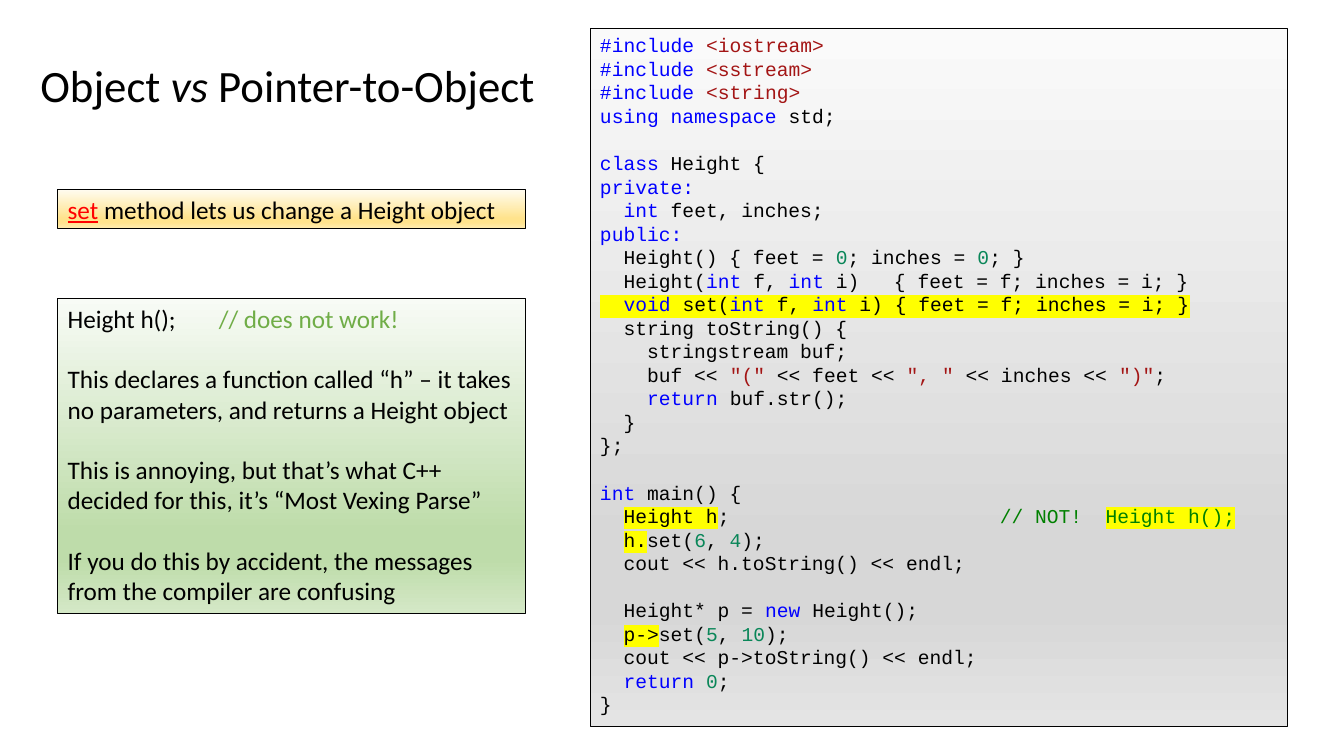
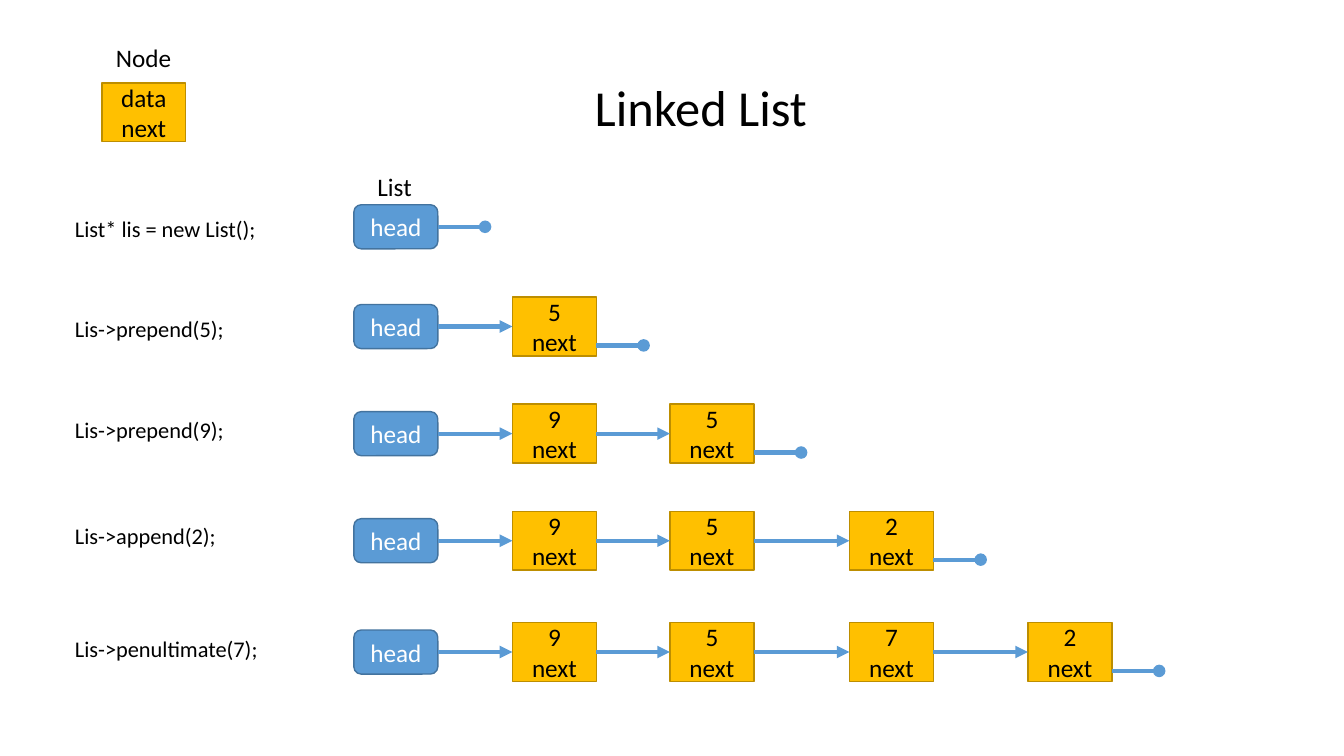
from dataclasses import dataclass

from lxml import etree
from pptx import Presentation
from pptx.dml.color import RGBColor
from pptx.enum.shapes import MSO_CONNECTOR, MSO_SHAPE
from pptx.enum.text import MSO_ANCHOR, PP_ALIGN
from pptx.oxml.ns import qn
from pptx.util import Emu, Pt

RECT, ROUNDED = MSO_SHAPE.RECTANGLE, MSO_SHAPE.ROUNDED_RECTANGLE
STRAIGHT = MSO_CONNECTOR.STRAIGHT
TOP, MIDDLE = MSO_ANCHOR.TOP, MSO_ANCHOR.MIDDLE
LEFT, CENTER = PP_ALIGN.LEFT, PP_ALIGN.CENTER
LEFT_SIDE, RIGHT_SIDE = 1, 3

EMU_PER_PX = 9525
SANS, MONO = "Calibri", "Courier New"
LINE_HEIGHT = 1.2
MONO_ADVANCE = 0.6  # character width relative to font size
CODE_SIZE = 14

BLACK = RGBColor(0x00, 0x00, 0x00)
WHITE = RGBColor(0xFF, 0xFF, 0xFF)
RED = RGBColor(0xFF, 0x00, 0x00)
GREEN = RGBColor(0x70, 0xAD, 0x47)
KEYWORD = RGBColor(0x00, 0x00, 0xFF)
STRING = RGBColor(0xA3, 0x15, 0x15)
NUMBER = RGBColor(0x09, 0x86, 0x58)
COMMENT = RGBColor(0x00, 0x80, 0x00)
HIGHLIGHT = RGBColor(0xFF, 0xFF, 0x00)
BLUE = RGBColor(0x5B, 0x9B, 0xD5)
BLUE_EDGE = RGBColor(0x43, 0x73, 0x9E)
GOLD = RGBColor(0xFF, 0xC0, 0x00)
GOLD_EDGE = RGBColor(0xBD, 0x8E, 0x00)

# Panel gradients: colours at 0, 74, 83 and 100 percent
GRADIENT_STOPS = (0, 74, 83, 100)
GRAY_PANEL = tuple(map(RGBColor.from_string, ("FAFAFA", "D7D7D7", "D7D7D7", "E4E4E4")))
GOLD_PANEL = tuple(map(RGBColor.from_string, ("FFFCF2", "FFE38C", "FFE38C", "FFECB2")))
GREEN_PANEL = tuple(map(RGBColor.from_string, ("F8FBF6", "BEDCAA", "BEDCAA", "D4E8C6")))


@dataclass(frozen=True)
class Box:
    x: int
    y: int
    w: int
    h: int

    def emu(self) -> tuple:
        return tuple(px(v) for v in (self.x, self.y, self.w, self.h))


@dataclass(frozen=True)
class Style:
    color: RGBColor | None = None
    italic: bool = False
    underline: bool = False


@dataclass(frozen=True)
class Line:
    """A paragraph; ~kword~ gives word style k, a capital letter highlights it."""
    text: str
    gap: bool = False  # one line of space above
    tab_columns: tuple = ()


@dataclass(frozen=True)
class ListStep:
    call: str
    label_y: int
    center_y: int
    values: tuple


STYLES = {
    "p": Style(),
    "k": Style(KEYWORD),
    "s": Style(STRING),
    "n": Style(NUMBER),
    "c": Style(COMMENT),
    "g": Style(GREEN),
    "i": Style(italic=True),
    "r": Style(RED, underline=True),
}

CODE = (
    Line("~k#include ~~s<iostream>~"),
    Line("~k#include ~~s<sstream>~"),
    Line("~k#include ~~s<string>~"),
    Line("~kusing namespace~ std;"),
    Line("~kclass~ Height {", gap=True),
    Line("~kprivate:~"),
    Line("  ~kint~ feet, inches;"),
    Line("~kpublic:~"),
    Line("  Height() { feet = ~n0~; inches = ~n0~; }"),
    Line("  Height(~kint~ f, ~kint~ i)\t{ feet = f; inches = i; }", tab_columns=(25,)),
    Line("~P  ~~Kvoid~~P set(~~Kint~~P f, ~~Kint~~P i) { feet = f; inches = i; }~"),
    Line("  string toString() {"),
    Line("    stringstream buf;"),
    Line('    buf << ~s"("~ << feet << ~s", "~ << inches << ~s")"~;'),
    Line("    ~kreturn ~buf.str();"),
    Line("  }"),
    Line("};"),
    Line("~kint~ main() {", gap=True),
    Line("  ~PHeight h~;\t~c// NOT!~\t~CHeight h();~", tab_columns=(34, 43)),
    Line("  ~Ph.~set(~n6~, ~n4~);"),
    Line("  cout << h.toString() << endl;"),
    Line("  Height* p = ~knew~ Height();", gap=True),
    Line("  ~Pp->~set(~n5~, ~n10~);"),
    Line("  cout << p->toString() << endl;"),
    Line("  ~kreturn ~~n0~;"),
    Line("}"),
)

VEXING_PARSE = (
    Line("Height h();\t~g// does not work!~"),
    Line("This declares a function called “h” – it takes no parameters, "
         "and returns a Height object", gap=True),
    Line("This is annoying, but that’s what C++ decided for this, "
         "it’s “Most Vexing Parse”", gap=True),
    Line("If you do this by accident, the messages from the compiler are confusing",
         gap=True),
)

STEPS = (
    ListStep("List* lis = new List();", 200, 216, ()),
    ListStep("Lis->prepend(5);", 295, 311, ("5",)),
    ListStep("Lis->prepend(9);", 392, 413, ("9", "5")),
    ListStep("Lis->append(2);", 493, 515, ("9", "5", "2")),
    ListStep("Lis->penultimate(7);", 600, 621, ("9", "5", "7", "2")),
)
HEAD_X, NODE_XS = 337, (488, 638, 809, 979)
CELL_W, HEAD_H, NODE_H = 80, 42, 56
NULL_LENGTH, NEXT_FIELD_DROP = 45, 18


def px(value: int) -> Emu:
    return Emu(value * EMU_PER_PX)


# Text

def highlight(run) -> None:
    mark = etree.Element(qn("a:highlight"))
    etree.SubElement(mark, qn("a:srgbClr"), val=str(HIGHLIGHT))
    run.font.fill  # the highlight follows the text fill
    run.font._element.find(qn("a:solidFill")).addnext(mark)


def add_tabs(paragraph, columns: tuple, size: int) -> None:
    tabs = etree.SubElement(paragraph._p.get_or_add_pPr(), qn("a:tabLst"))
    for column in columns:
        position = Pt(column * size * MONO_ADVANCE)
        etree.SubElement(tabs, qn("a:tab"), pos=str(position), algn="l")


def write(shape, *lines: Line, size: int = 18, font: str = SANS, color: RGBColor = BLACK,
          align=LEFT, anchor=TOP) -> None:
    frame = shape.text_frame
    frame.word_wrap = True
    frame.vertical_anchor = anchor
    for index, line in enumerate(lines):
        paragraph = frame.add_paragraph() if index else frame.paragraphs[0]
        paragraph.alignment = align
        paragraph.line_spacing = Pt(size * LINE_HEIGHT)
        if line.gap:
            paragraph.space_before = Pt(size * LINE_HEIGHT)
        if line.tab_columns:
            add_tabs(paragraph, line.tab_columns, size)
        for part, piece in enumerate(line.text.split("~")):
            if not piece:
                continue
            key, text = (piece[0], piece[1:]) if part % 2 else ("p", piece)
            style = STYLES[key.lower()]
            run = paragraph.add_run()
            run.text = text
            run.font.size, run.font.name = Pt(size), font
            run.font.color.rgb = style.color or color
            if style.italic:
                run.font.italic = True
            if style.underline:
                run.font.underline = True
            if key.isupper():
                highlight(run)


def add_label(slide, box: Box, text: str, size: int = 18) -> None:
    write(slide.shapes.add_textbox(*box.emu()), Line(text), size=size)


# Shapes

def add_block(slide, box: Box, kind, edge: RGBColor, edge_width: float):
    block = slide.shapes.add_shape(kind, *box.emu())
    block.shadow.inherit = False
    block.line.color.rgb = edge
    block.line.width = Pt(edge_width)
    return block


def add_panel(slide, box: Box, colors: tuple, *lines: Line, **text_format) -> None:
    panel = add_block(slide, box, RECT, BLACK, 0.75)
    panel.fill.gradient()
    panel.fill.gradient_angle = 270
    stops = panel.element.spPr.find(qn("a:gradFill")).find(qn("a:gsLst"))
    for stop in list(stops):
        stops.remove(stop)
    for percent, color in zip(GRADIENT_STOPS, colors):
        stop = etree.SubElement(stops, qn("a:gs"), pos=str(percent * 1000))
        etree.SubElement(stop, qn("a:srgbClr"), val=str(color))
    write(panel, *lines, **text_format)


def add_node(slide, x: int, y: int, value: str):
    node = add_block(slide, Box(x, y, CELL_W, NODE_H), RECT, GOLD_EDGE, 1)
    node.fill.solid()
    node.fill.fore_color.rgb = GOLD
    write(node, Line(value), Line("next"), align=CENTER, anchor=MIDDLE)
    return node


def add_head(slide, center_y: int):
    box = Box(HEAD_X, center_y - HEAD_H // 2, CELL_W, HEAD_H)
    head = add_block(slide, box, ROUNDED, BLUE_EDGE, 1)
    head.fill.solid()
    head.fill.fore_color.rgb = BLUE
    write(head, Line("head"), color=WHITE, align=CENTER, anchor=MIDDLE)
    return head


def add_pointer(slide, x1: int, x2: int, y: int, ending: str):
    pointer = slide.shapes.add_connector(STRAIGHT, px(x1), px(y), px(x2), px(y))
    pointer.line.color.rgb = BLUE
    pointer.line.width = Pt(3)
    properties = pointer.element.spPr
    etree.SubElement(properties.find(qn("a:ln")), qn("a:tailEnd"), type=ending)
    etree.SubElement(properties, qn("a:effectLst"))
    return pointer


# Slides

def add_step(slide, step: ListStep) -> None:
    add_label(slide, Box(62, step.label_y, 223, 35), step.call, size=16)
    cell, right = add_head(slide, step.center_y), HEAD_X + CELL_W
    for x, value in zip(NODE_XS, step.values):
        node = add_node(slide, x, step.center_y - NODE_H // 2, value)
        pointer = add_pointer(slide, right, x, step.center_y, "triangle")
        pointer.begin_connect(cell, RIGHT_SIDE)
        pointer.end_connect(node, LEFT_SIDE)
        cell, right = node, x + CELL_W
    drop = NEXT_FIELD_DROP if step.values else 0
    null = add_pointer(slide, right, right + NULL_LENGTH, step.center_y + drop, "oval")
    if not step.values:
        null.begin_connect(cell, RIGHT_SIDE)


def build_pointer_slide(slide) -> None:
    add_panel(slide, Box(562, 27, 664, 665), GRAY_PANEL, *CODE, size=CODE_SIZE, font=MONO)
    add_label(slide, Box(29, 50, 533, 61), "Object ~ivs~ Pointer-to-Object", size=32)
    add_panel(slide, Box(55, 180, 446, 38), GOLD_PANEL,
              Line("~rset~ method lets us change a Height object"))
    add_panel(slide, Box(55, 284, 446, 300), GREEN_PANEL, *VEXING_PARSE)


def build_list_slide(slide) -> None:
    add_label(slide, Box(557, 68, 414, 68), "Linked List", size=36)
    add_label(slide, Box(101, 36, 76, 38), "Node")
    add_node(slide, 97, 79, "data")
    add_label(slide, Box(350, 158, 61, 38), "List")
    for step in STEPS:
        add_step(slide, step)


def main() -> None:
    deck = Presentation()
    deck.slide_width, deck.slide_height = px(1280), px(720)
    blank = deck.slide_layouts[6]
    for build in (build_pointer_slide, build_list_slide):
        build(deck.slides.add_slide(blank))
    deck.save("out.pptx")


if __name__ == "__main__":
    main()
